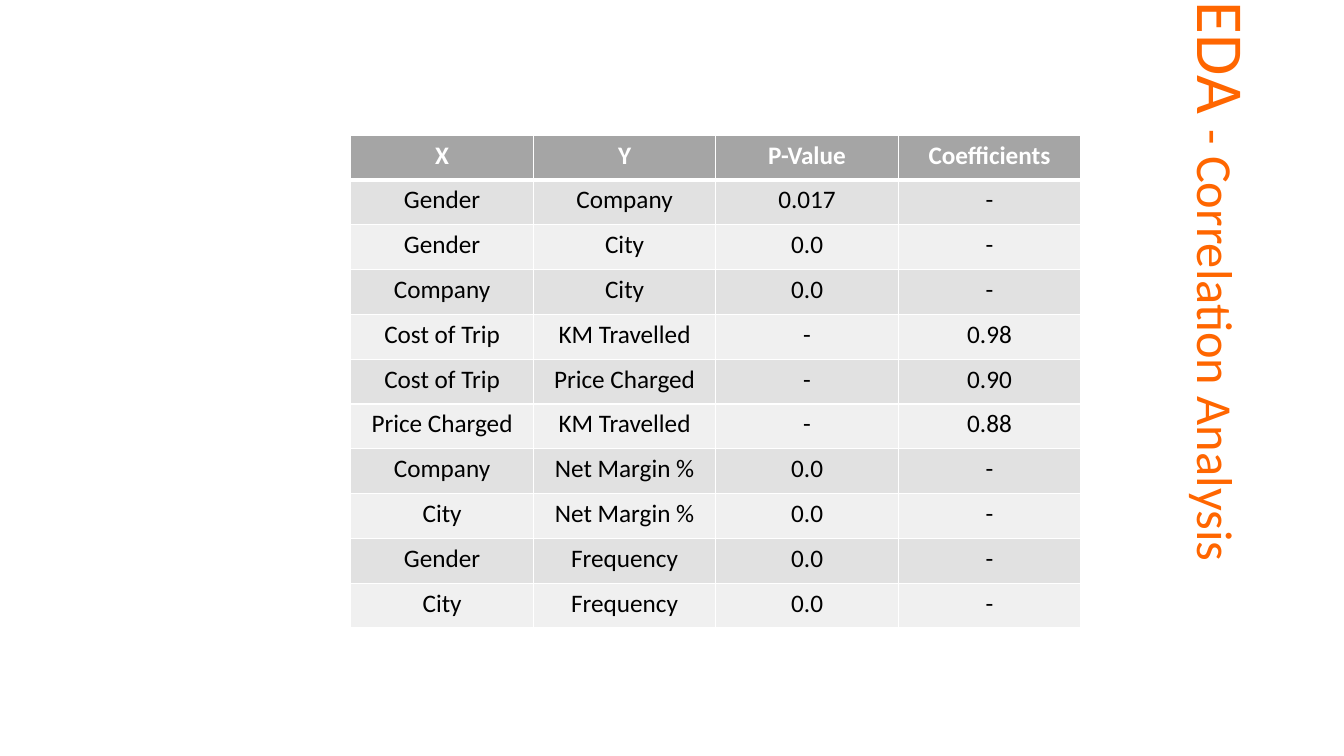
import pptx
import pptx.dml.color
import pptx.enum.text
import pptx.oxml.ns
import pptx.util
from lxml import etree
from pptx.util import Inches

FONT = "Calibri"
COLORS = {
    "title": "FF6600",
    "header": "A5A5A5",
    "odd_row": "E1E1E1",
    "even_row": "F0F0F0",
    "white": "FFFFFF",
    "text": "000000",
}
CORRELATIONS = [
    ("X", "Y", "P-Value", "Coefficients"),
    ("Gender", "Company", "0.017", "-"),
    ("Gender", "City", "0.0", "-"),
    ("Company", "City", "0.0", "-"),
    ("Cost of Trip", "KM Travelled", "-", "0.98"),
    ("Cost of Trip", "Price Charged", "-", "0.90"),
    ("Price Charged", "KM Travelled", "-", "0.88"),
    ("Company", "Net Margin %", "0.0", "-"),
    ("City", "Net Margin %", "0.0", "-"),
    ("Gender", "Frequency", "0.0", "-"),
    ("City", "Frequency", "0.0", "-"),
]


def color(name):
    return pptx.dml.color.RGBColor.from_string(COLORS[name])


def add_run(paragraph, text, size, color_name, bold=False):
    run = paragraph.add_run()
    run.text = text
    run.font.name = FONT
    run.font.size = pptx.util.Pt(size)
    run.font.bold = bold
    run.font.color.rgb = color(color_name)


def set_borders(cell, widths):
    """Draw white cell borders; widths maps a side (L, R, T, B) to points."""
    properties = cell._tc.get_or_add_tcPr()
    for side, width in widths.items():
        line = etree.SubElement(properties, pptx.oxml.ns.qn(f"a:ln{side}"),
                                w=str(pptx.util.Pt(width)))
        fill = etree.SubElement(line, pptx.oxml.ns.qn("a:solidFill"))
        etree.SubElement(fill, pptx.oxml.ns.qn("a:srgbClr"), val=COLORS["white"])


def add_side_title(slide, left, top, width, height):
    """Title turned a quarter, reading down the right edge."""
    shape = slide.shapes.add_textbox(left, top, width, height)
    shape.rotation = 90
    frame = shape.text_frame
    frame.word_wrap = True
    frame.vertical_anchor = pptx.enum.text.MSO_ANCHOR.TOP
    frame.margin_left = Inches(0.02)
    frame.margin_top = Inches(0.15)
    paragraph = frame.paragraphs[0]
    paragraph.line_spacing = 0.9
    paragraph.space_after = pptx.util.Pt(12)
    add_run(paragraph, "EDA ", 48, "title")
    add_run(paragraph, "- Correlation Analysis", 36, "title")


def add_correlation_table(slide, left, top, width, height):
    """Banded table with a grey header row."""
    row_count, column_count = len(CORRELATIONS), len(CORRELATIONS[0])
    table = slide.shapes.add_table(row_count, column_count,
                                   left, top, width, height).table
    for column in table.columns:
        column.width = width // column_count
    for row_index, values in enumerate(CORRELATIONS):
        is_header = row_index == 0
        band = "header" if is_header else "odd_row" if row_index % 2 else "even_row"
        table.rows[row_index].height = height // row_count
        for column_index, value in enumerate(values):
            cell = table.cell(row_index, column_index)
            set_borders(cell, {"L": 1, "R": 1, "T": 3 if row_index == 1 else 1,
                               "B": 3 if is_header else 1})
            cell.fill.solid()
            cell.fill.fore_color.rgb = color(band)
            paragraph = cell.text_frame.paragraphs[0]
            paragraph.alignment = pptx.enum.text.PP_ALIGN.CENTER
            add_run(paragraph, value, 18, "white" if is_header else "text", is_header)


def main():
    presentation = pptx.Presentation()
    presentation.slide_width = Inches(13.33)
    presentation.slide_height = Inches(7.5)
    slide = presentation.slides.add_slide(presentation.slide_layouts[6])
    add_side_title(slide, Inches(3.35), Inches(-1.75), Inches(7.5), Inches(11))
    add_correlation_table(slide, Inches(3.48), Inches(1.34), Inches(7.24), Inches(4.89))
    presentation.save("out.pptx")


if __name__ == "__main__":
    main()
